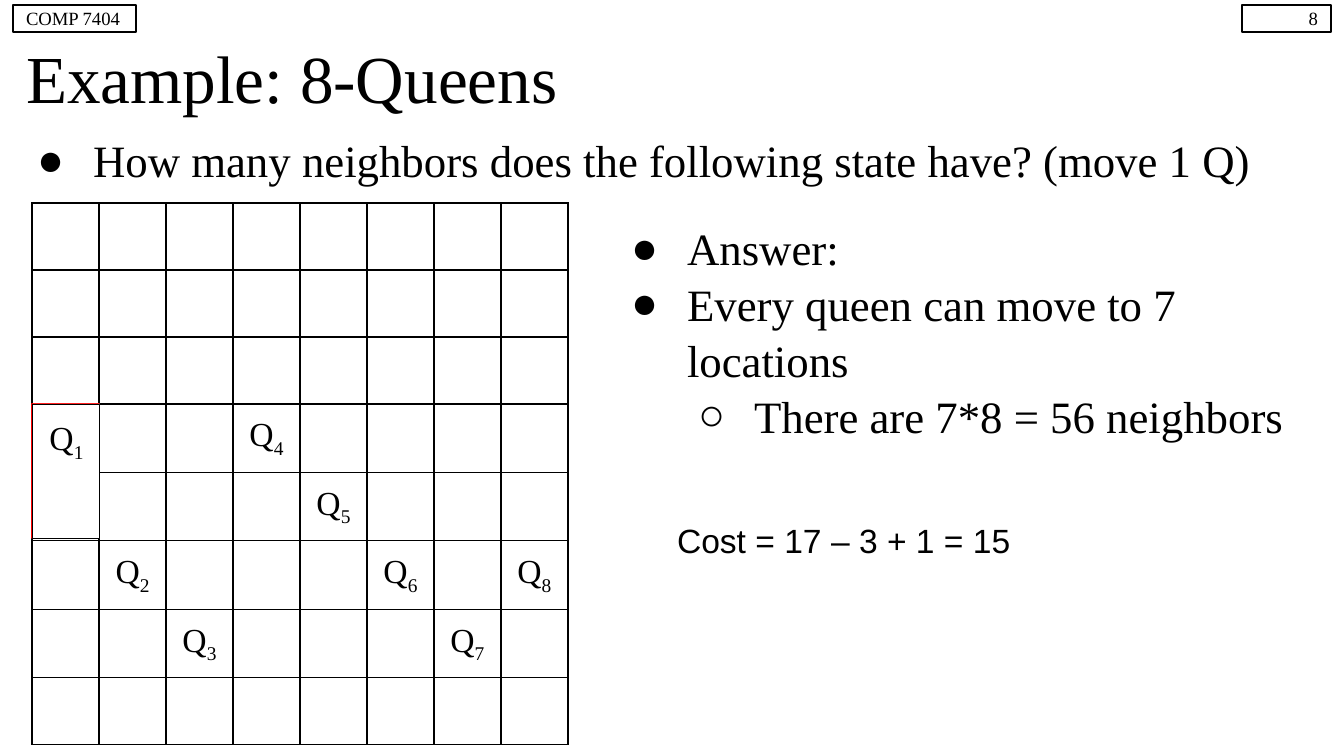
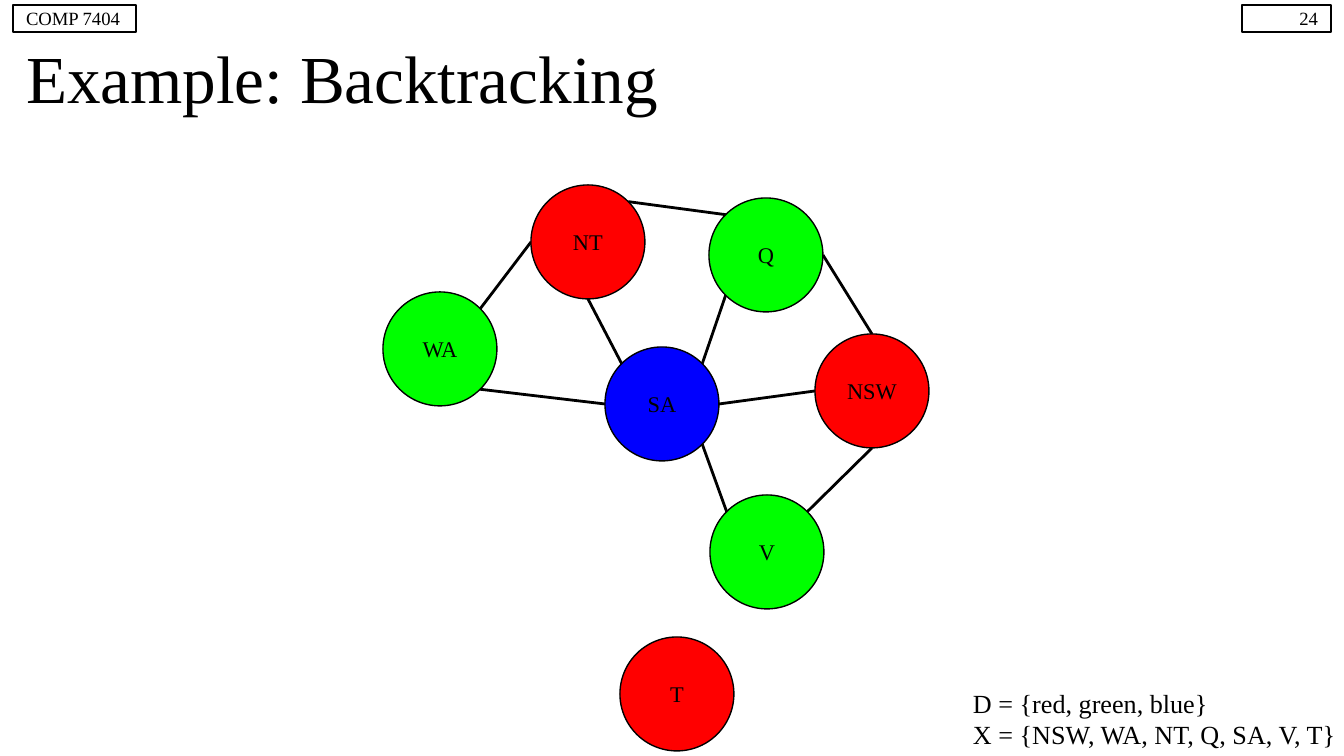
import math

import lxml.etree
import pptx
import pptx.dml.color
import pptx.enum.shapes
import pptx.enum.text
import pptx.oxml.ns
import pptx.util

# Content
COURSE = "COMP 7404"
QUEENS_TITLE = "Example: 8-Queens"
QUESTION = [("How many neighbors does the following state have? (move 1 Q)", 0)]
ANSWER = [
    ("Answer:", 0),
    ("Every queen can move to 7 locations", 0),
    ("There are 7*8 = 56 neighbors", 1),
]
COST = "Cost = 17 – 3 + 1 = 15"
BOARD_SIZE = 8
QUEENS = {(3, 3): "4", (4, 4): "5", (5, 1): "2", (5, 5): "6",
          (5, 7): "8", (6, 2): "3", (6, 6): "7"}
MOVED_QUEEN = "1"

MAP_TITLE = "Example: Backtracking"
REGIONS = {  # name: (centre x, centre y, colour)
    "NSW": (872, 391, "red"),
    "WA": (440, 349, "green"),
    "NT": (588, 242, "red"),
    "Q": (766, 255, "green"),
    "SA": (662, 404, "blue"),
    "V": (767, 552, "green"),
    "T": (677, 694, "red"),
}
BORDERS = [  # region, side it leaves from, region, side it reaches
    ("WA", "SE", "SA", "W"), ("WA", "NE", "NT", "W"), ("NT", "NE", "Q", "NW"),
    ("Q", "E", "NSW", "N"), ("NSW", "S", "V", "NE"), ("SA", "SE", "V", "NW"),
    ("NT", "S", "SA", "NW"), ("SA", "NE", "Q", "SW"), ("SA", "E", "NSW", "W"),
]
PROBLEM = ["D = {red, green, blue}", "X = {NSW, WA, NT, Q, SA, V, T}"]

# Shared style
COLORS = {"black": "000000", "white": "FFFFFF", "red": "FF0000",
          "green": "00FF00", "blue": "0000FF"}
SERIF, SANS = "Times New Roman", "Arial"
EMU_PER_PX = 914400 / 134.4
INSET = 13
CELL = 67
RADIUS = 57
COMPASS = ["E", "SE", "S", "SW", "W", "NW", "N", "NE"]
BULLETS = ["●", "○"]
ALIGN = pptx.enum.text.PP_ALIGN
ANCHOR = pptx.enum.text.MSO_ANCHOR
SHAPE = pptx.enum.shapes.MSO_SHAPE


def px(length):
    return pptx.util.Emu(round(length * EMU_PER_PX))


def color(name):
    return pptx.dml.color.RGBColor.from_string(COLORS[name])


def child(parent, tag, **attributes):
    return lxml.etree.SubElement(parent, pptx.oxml.ns.qn(tag), attributes)


def place(box, left, top, width, height):
    box.left, box.top, box.width, box.height = map(px, (left, top, width, height))


def style_span(span, size, font=SERIF):
    span.font.size = pptx.util.Pt(size)
    span.font.name = font
    span.font.color.rgb = color("black")


def fill_text(frame, lines, size, align=ALIGN.LEFT, anchor=ANCHOR.MIDDLE, font=SERIF):
    frame.word_wrap = True
    frame.auto_size = pptx.enum.text.MSO_AUTO_SIZE.NONE
    frame.vertical_anchor = anchor
    frame.margin_left = frame.margin_right = px(INSET)
    frame.margin_top = frame.margin_bottom = px(INSET)
    frame.text = "\n".join(lines)
    for para in frame.paragraphs:
        para.alignment = align
        para.space_before = pptx.util.Pt(0)
        for span in para.runs:
            style_span(span, size, font)


def add_outlined(page, kind, bounds, fill=None, line="black", width=0.75):
    box = page.shapes.add_shape(kind, *map(px, bounds))
    box.shadow.inherit = False
    if fill:
        box.fill.solid()
        box.fill.fore_color.rgb = color(fill)
    else:
        box.fill.background()
    box.line.color.rgb = color(line)
    box.line.width = pptx.util.Pt(width)
    return box


def add_text(page, bounds, lines, size, **options):
    box = page.shapes.add_textbox(*map(px, bounds))
    fill_text(box.text_frame, lines, size, **options)


def add_page(deck, layout, title, number):
    page = deck.slides.add_slide(deck.slide_layouts[layout])
    place(page.shapes.title, 13, 38, 1317, 77)
    fill_text(page.shapes.title.text_frame, [title], 36)
    for bounds, label, align in [((1242, 5, 89, 27), number, ALIGN.RIGHT),
                                 ((13, 5, 123, 27), COURSE, ALIGN.LEFT)]:
        box = add_outlined(page, SHAPE.RECTANGLE, bounds)
        fill_text(box.text_frame, [label], 10, align)
    return page


def fill_list(box, bounds, items):
    place(box, *bounds)
    fill_text(box.text_frame, [text for text, level in items], 24, anchor=ANCHOR.TOP)
    for para, (text, level) in zip(box.text_frame.paragraphs, items):
        para.level = level
        para.line_spacing = 1.04
        props = para._p.get_or_add_pPr()
        props.set("marL", str(px(CELL * (level + 1))))
        props.set("indent", str(px(-56)))
        child(child(props, "a:buClr"), "a:srgbClr", val=COLORS["black"])
        child(props, "a:buFont", typeface=SERIF)
        child(props, "a:buChar", char=BULLETS[level])


def write_queen(frame, number):
    fill_text(frame, ["Q"], 18, ALIGN.CENTER)
    span = frame.paragraphs[0].add_run()
    span.text = number
    style_span(span, 18)
    span.font._element.set("baseline", "-25000")


def add_board(page, left, top):
    side = CELL * BOARD_SIZE
    table = page.shapes.add_table(BOARD_SIZE, BOARD_SIZE,
                                  *map(px, (left, top, side, side))).table
    table.first_row = table.horz_banding = False
    for row in range(BOARD_SIZE):
        for column in range(BOARD_SIZE):
            cell = table.cell(row, column)
            props = cell._tc.get_or_add_tcPr()
            for edge in ("a:lnL", "a:lnR", "a:lnT", "a:lnB"):
                line = child(props, edge, w=str(pptx.util.Pt(0.75)))
                child(child(line, "a:solidFill"), "a:srgbClr", val=COLORS["black"])
            cell.fill.background()
            if (row, column) in QUEENS:
                write_queen(cell.text_frame, QUEENS[row, column])
                cell.vertical_anchor = ANCHOR.MIDDLE
                cell.margin_left = cell.margin_right = px(INSET)
                cell.margin_top = cell.margin_bottom = px(INSET)


def site(region, side):
    x, y, _ = REGIONS[region]
    angle = COMPASS.index(side) * math.pi / 4
    return px(x + RADIUS * math.cos(angle)), px(y + RADIUS * math.sin(angle))


def build_queens(deck):
    page = add_page(deck, 3, QUEENS_TITLE, "8")
    fill_list(page.placeholders[1], (13, 118, 1317, 620), QUESTION)
    left, top = 32, 203
    add_board(page, left, top)
    fill_list(page.placeholders[2], (607, 206, 737, 531), ANSWER)
    # Moved queen: a red frame with a white card over it
    frame_top = top + 3 * CELL
    add_outlined(page, SHAPE.RECTANGLE, (left, frame_top, CELL, 2 * CELL), "white", "red")
    card = add_outlined(page, SHAPE.RECTANGLE, (left + 1, frame_top, CELL, 2 * CELL + 1),
                        "white", width=0.5)
    write_queen(card.text_frame, MOVED_QUEEN)
    card.text_frame.vertical_anchor = ANCHOR.TOP
    add_text(page, (664, 513, 364, 54), [COST], 18, font=SANS)


def build_map(deck):
    page = add_page(deck, 5, MAP_TITLE, "24")
    # Borders lie behind the regions
    for start, start_side, end, end_side in BORDERS:
        border = page.shapes.add_connector(pptx.enum.shapes.MSO_CONNECTOR.STRAIGHT,
                                           *site(start, start_side), *site(end, end_side))
        border.line.color.rgb = color("black")
        border.line.width = pptx.util.Pt(1.5)
        child(border._element.spPr, "a:effectLst")
    add_text(page, (960, 680, 418, 77), PROBLEM, 14)
    for name, (x, y, fill) in REGIONS.items():
        bounds = (x - RADIUS, y - RADIUS, 2 * RADIUS, 2 * RADIUS)
        circle = add_outlined(page, SHAPE.OVAL, bounds, fill)
        fill_text(circle.text_frame, [name], 12, ALIGN.CENTER)


def main():
    deck = pptx.Presentation()
    deck.slide_width, deck.slide_height = px(1344), px(756)
    build_queens(deck)
    build_map(deck)
    deck.save("out.pptx")


if __name__ == "__main__":
    main()
